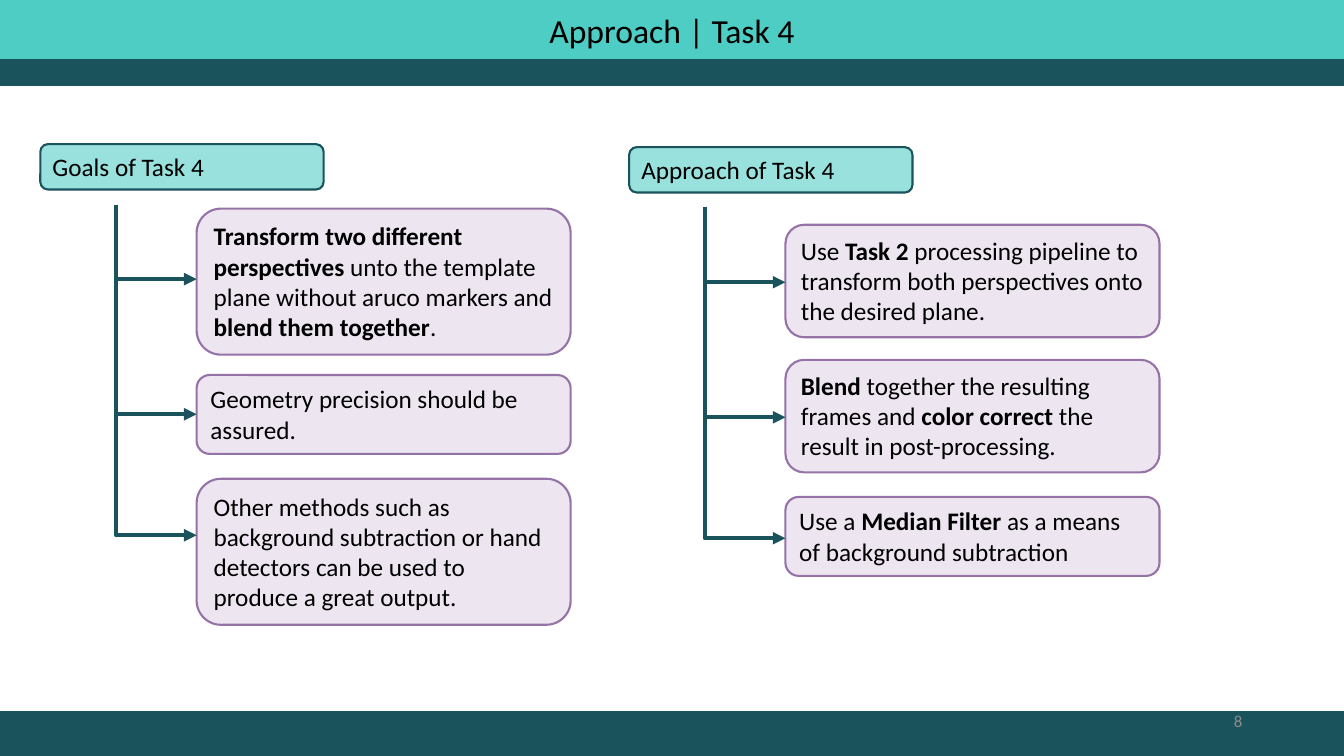
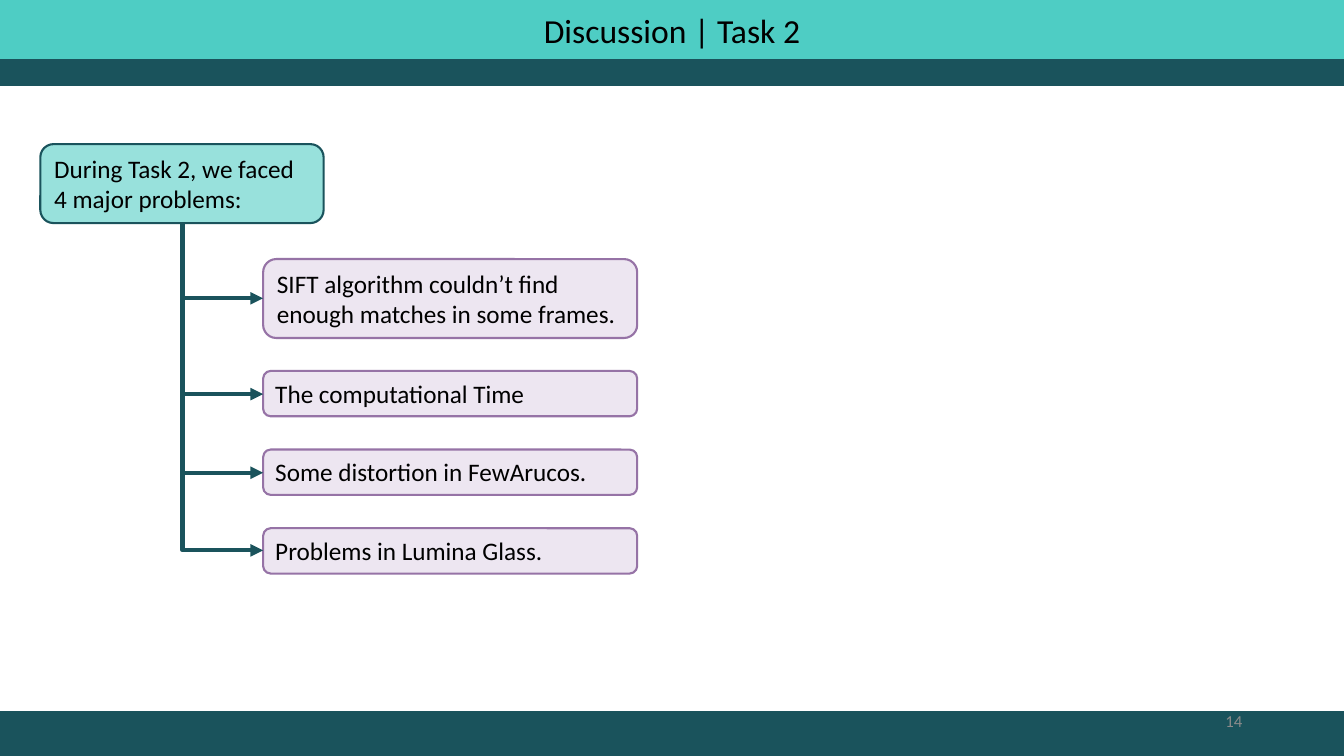
from dataclasses import dataclass

from lxml.etree import SubElement
from pptx import Presentation
from pptx.dml.color import RGBColor
from pptx.enum.shapes import MSO_CONNECTOR as Connector, MSO_SHAPE as Shape
from pptx.enum.text import MSO_ANCHOR as Anchor, MSO_AUTO_SIZE as AutoSize, PP_ALIGN as Align
from pptx.oxml.ns import qn
from pptx.presentation import Presentation as Deck
from pptx.shapes.autoshape import Shape as AutoShape
from pptx.slide import Slide
from pptx.text.text import _Run as Span
from pptx.util import Inches, Pt

FONT = "Calibri"
BLACK, GRAY, WHITE = "000000", "8C8C8C", "FFFFFF"
TURQUOISE, TEAL = "4ECDC4", "1A535C"
LILAC, PURPLE = "E1D5E7", "9673A6"
PAGE_WIDTH, PAGE_HEIGHT = 13.33, 7.5
TITLE_HEIGHT = 0.59
HEADING_WIDTH, ITEM_WIDTH = 2.81, 3.71
BRANCH_WIDTH = 0.8
ONE_LINE_HEIGHT, LINE_STEP = 0.45, 0.333
OPACITY = 58


@dataclass(frozen=True)
class Band:
    top: float
    height: float


@dataclass(frozen=True)
class Item:
    top: float
    lines: int
    arrow_y: float
    text: str


@dataclass(frozen=True)
class Tree:
    left: float
    top: float
    heading: str
    heading_lines: int
    stem_x: float
    stem_top: float
    items: tuple[Item, ...]


@dataclass(frozen=True)
class Page:
    title: str
    number: int
    trees: tuple[Tree, ...]


BANDS = (Band(TITLE_HEIGHT, 0.26), Band(7.06, 0.43))

PAGES = (
    Page("Approach | Task 4", 8, (
        Tree(0.4, 1.43, "Goals of Task 4", 1, 1.15, 2.03, (
            Item(2.07, 4, 2.77, "**Transform two different perspectives** unto the template plane "
                 "without aruco markers and **blend them together**."),
            Item(3.72, 2, 4.11, "Geometry precision should be assured."),
            Item(4.75, 4, 5.31, "Other methods such as background subtraction or hand detectors "
                 "can be used to produce a great output."),
        )),
        Tree(6.24, 1.46, "Approach of Task 4", 1, 6.99, 2.05, (
            Item(2.23, 3, 2.8, "Use **Task 2** processing pipeline to transform both "
                 "perspectives onto the desired plane."),
            Item(3.57, 3, 4.14, "**Blend** together the resulting frames and **color correct** "
                 "the result in post-processing."),
            Item(4.93, 2, 5.34, "Use a **Median Filter** as a means of background subtraction"),
        )),
    )),
    Page("Discussion | Task 2", 14, (
        Tree(0.4, 1.43, "During Task 2, we faced 4 major problems:", 2, 1.81, 2.22, (
            Item(2.57, 2, 2.96, "SIFT algorithm couldn’t find enough matches in some frames."),
            Item(3.68, 1, 3.91, "The computational Time"),
            Item(4.46, 1, 4.69, "Some distortion in FewArucos."),
            Item(5.24, 1, 5.46, "Problems in Lumina Glass."),
        )),
    )),
)


def rgb(color: str) -> RGBColor:
    return RGBColor.from_string(color)


def format_span(span: Span, size: float, color: str = BLACK, bold: bool = False) -> None:
    span.font.name = FONT
    span.font.size = Pt(size)
    span.font.bold = bold
    span.font.color.rgb = rgb(color)


def paint(shape: AutoShape, fill: str, line: str, width: float) -> None:
    shape.fill.solid()
    shape.fill.fore_color.rgb = rgb(fill)
    shape.line.color.rgb = rgb(line)
    shape.line.width = Pt(width)


def add_title(page: Slide, text: str) -> None:
    title = page.shapes.title
    title.left, title.top = Inches(0), Inches(0)
    title.width, title.height = Inches(PAGE_WIDTH), Inches(TITLE_HEIGHT)
    paint(title, TURQUOISE, TURQUOISE, 1)
    frame = title.text_frame
    frame.text = text
    frame.auto_size = AutoSize.NONE
    frame.vertical_anchor = Anchor.MIDDLE
    para = frame.paragraphs[0]
    para.alignment = Align.CENTER
    format_span(para.runs[0], 24)


def add_band(page: Slide, band: Band) -> None:
    shape = page.shapes.add_shape(
        Shape.RECTANGLE, Inches(0), Inches(band.top), Inches(PAGE_WIDTH), Inches(band.height))
    shape.shadow.inherit = False
    paint(shape, TEAL, TEAL, 1)


def add_box(page: Slide, left: float, top: float, width: float, lines: int,
            text: str, fill: str, line: str) -> None:
    height = ONE_LINE_HEIGHT + LINE_STEP * (lines - 1)
    box = page.shapes.add_shape(
        Shape.ROUNDED_RECTANGLE, Inches(left), Inches(top), Inches(width), Inches(height))
    box.shadow.inherit = False
    paint(box, fill, line, 1.5)
    fill_color = box._element.spPr.find(qn("a:solidFill"))[0]
    SubElement(fill_color, qn("a:alpha")).set("val", str(OPACITY * 1000))
    frame = box.text_frame
    frame.word_wrap = True
    frame.auto_size = AutoSize.SHAPE_TO_FIT_TEXT
    frame.vertical_anchor = Anchor.TOP
    para = frame.paragraphs[0]
    para.alignment = Align.LEFT
    for index, part in enumerate(text.split("**")):
        if part:
            span = para.add_run()
            span.text = part
            format_span(span, 18, bold=index % 2 == 1)


def add_branch(page: Slide, left: float, top: float, bottom: float) -> None:
    drop = bottom - top
    center_x, center_y = left + BRANCH_WIDTH / 2, top + drop / 2
    branch = page.shapes.add_connector(
        Connector.ELBOW,
        Inches(center_x - drop / 2), Inches(center_y - BRANCH_WIDTH / 2),
        Inches(center_x + drop / 2), Inches(center_y + BRANCH_WIDTH / 2))
    branch.line.color.rgb = rgb(TEAL)
    branch.line.width = Pt(3)
    properties = branch._element.spPr
    properties.find(qn("a:prstGeom")).set("prst", "bentConnector2")
    transform = properties.find(qn("a:xfrm"))
    transform.set("rot", str(270 * 60000))
    transform.set("flipH", "1")
    SubElement(properties.find(qn("a:ln")), qn("a:tailEnd")).set("type", "triangle")
    SubElement(properties, qn("a:effectLst"))


def add_tree(page: Slide, tree: Tree) -> None:
    add_box(page, tree.left, tree.top, HEADING_WIDTH, tree.heading_lines,
            tree.heading, TURQUOISE, TEAL)
    for item in tree.items:
        add_box(page, tree.stem_x + BRANCH_WIDTH, item.top, ITEM_WIDTH, item.lines,
                item.text, LILAC, PURPLE)
        add_branch(page, tree.stem_x, tree.stem_top, item.arrow_y)


def add_page_number(page: Slide, number: int) -> None:
    box = page.shapes.add_textbox(Inches(9.42), Inches(6.95), Inches(3), Inches(0.4))
    frame = box.text_frame
    frame.text = str(number)
    frame.word_wrap = True
    frame.vertical_anchor = Anchor.MIDDLE
    para = frame.paragraphs[0]
    para.alignment = Align.RIGHT
    format_span(para.runs[0], 12, GRAY)


def add_page(deck: Deck, content: Page) -> None:
    page = deck.slides.add_slide(deck.slide_layouts.get_by_name("Title Only"))
    page.background.fill.solid()
    page.background.fill.fore_color.rgb = rgb(WHITE)
    add_title(page, content.title)
    for band in BANDS:
        add_band(page, band)
    for tree in content.trees:
        add_tree(page, tree)
    add_page_number(page, content.number)


def main() -> None:
    deck = Presentation()
    deck.slide_width, deck.slide_height = Inches(PAGE_WIDTH), Inches(PAGE_HEIGHT)
    for content in PAGES:
        add_page(deck, content)
    deck.save("out.pptx")


if __name__ == "__main__":
    main()
